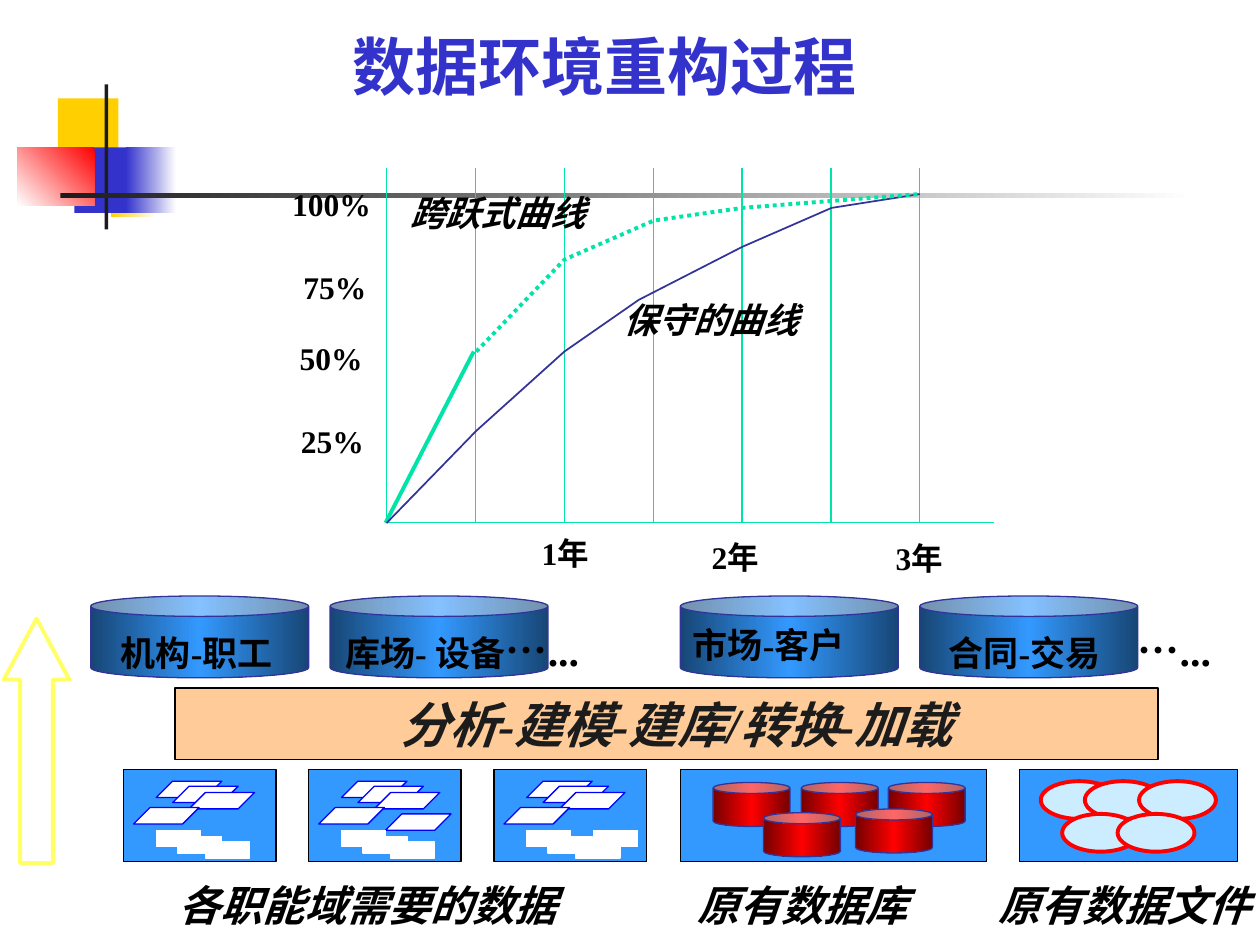
from copy import deepcopy
from lxml import etree
from pptx import Presentation
from pptx.dml.color import RGBColor
from pptx.enum.dml import MSO_LINE
from pptx.enum.shapes import MSO_CONNECTOR, MSO_SHAPE
from pptx.enum.text import MSO_ANCHOR, PP_ALIGN
from pptx.oxml.ns import qn
from pptx.util import Inches, Pt

RECT, CAN, OVAL = MSO_SHAPE.RECTANGLE, MSO_SHAPE.CAN, MSO_SHAPE.OVAL
PARALLELOGRAM, UP_ARROW = MSO_SHAPE.PARALLELOGRAM, MSO_SHAPE.UP_ARROW
STRAIGHT, DOTTED = MSO_CONNECTOR.STRAIGHT, MSO_LINE.ROUND_DOT
TOP, MIDDLE = MSO_ANCHOR.TOP, MSO_ANCHOR.MIDDLE
LEFT, JUSTIFY = PP_ALIGN.LEFT, PP_ALIGN.JUSTIFY


class Theme:
    latin, asian = "Times New Roman", "Noto Sans CJK SC"
    black, white, ink = "000000", "FFFFFF", "1C1C1C"
    gold, indigo, red = "FFCF01", "3333CC", "FF0000"
    navy, blue, panel, peach = "333399", "0000FF", "3399FF", "FFCC99"
    mint, pale, yellow = "00E4A8", "CCECFF", "FFFF66"
    blue_can = ["174675", "3399FF", "174675"]
    red_can = ["750000", "FF0000", "750000"]
    title, banner, caption, name, axis = 36, 28, 24, 20, 18


def add_box(kind, x, y, w, h, fill=None, line=None, width=0.75, angle=0):
    sp = s.shapes.add_shape(kind, Inches(x), Inches(y), Inches(w), Inches(h))
    sp.shadow.inherit = False
    if isinstance(fill, list):
        sp.fill.gradient()
        sp.fill.gradient_angle = angle
        stops = sp._element.spPr.find(".//" + qn("a:gsLst"))
        for _ in fill[2:]:
            stops.insert(1, deepcopy(stops[0]))
        for i, stop in enumerate(sp.fill.gradient_stops):
            stop.position = i / (len(fill) - 1)
            stop.color.rgb = RGBColor.from_string(fill[i])
    elif fill:
        sp.fill.solid()
        sp.fill.fore_color.rgb = RGBColor.from_string(fill)
    else:
        sp.fill.background()
    if line:
        sp.line.color.rgb = RGBColor.from_string(line)
        sp.line.width = Pt(width)
    else:
        sp.line.fill.background()
    return sp


def write(sp, runs, color=Theme.black, italic=False, indent=0, align=LEFT,
          anchor=TOP, latin=Theme.latin, tab=None):
    tf = sp.text_frame
    tf.word_wrap = True
    tf.vertical_anchor = anchor
    p = tf.paragraphs[0]
    p.alignment = align
    pPr = p._p.get_or_add_pPr()
    pPr.set("marL", str(Inches(indent)))
    pPr.set("indent", "0")
    if tab:
        tabs = etree.SubElement(pPr, qn("a:tabLst"))
        etree.SubElement(tabs, qn("a:tab"), pos=str(Inches(tab)), algn="l")
    for text, size in runs:
        r = p.add_run()
        r.text = text
        r.font.name = latin
        r.font.size = Pt(size)
        r.font.bold = True
        r.font.italic = italic
        r.font.color.rgb = RGBColor.from_string(color)
        ea = etree.Element(qn("a:ea"), typeface=Theme.asian)
        r._r.rPr.find(qn("a:latin")).addnext(ea)


prs = Presentation()
prs.slide_width, prs.slide_height = Inches(10), Inches(7.5)
s = prs.slides.add_slide(prs.slide_layouts[6])

for x, y, w, h, fill, angle in [
    (0.46, 0.78, 0.48, 0.52, Theme.gold, 0),
    (0.88, 1.2, 0.36, 0.52, [Theme.gold, Theme.white], 0),
    (0.59, 1.17, 0.46, 0.52, Theme.indigo, 0),
    (1, 1.17, 0.4, 0.52, [Theme.indigo, Theme.white], 0),
    (0.14, 1.17, 0.61, 0.46, [Theme.red, Theme.white], 225),
    (0.83, 0.67, 0.03, 1.15, Theme.ink, 0),
    (0.48, 1.53, 9, 0.04, [Theme.ink, Theme.white], 0),
]:
    add_box(RECT, x, y, w, h, fill, angle=angle)

banner = add_box(RECT, 1.39, 5.46, 7.8, 0.57, Theme.peach, Theme.black)
write(banner, [("分析-建模-建库/转换-加载", Theme.banner)], Theme.ink, True, 1.69)

for x in (0.72, 2.62, 5.4, 7.3):
    add_box(CAN, x, 4.73, 1.73, 0.65, Theme.blue_can, Theme.navy)
for x, y, w, h, indent, tab, runs in [
    (0.74, 4.96, 1.99, 0.44, 0.12, None, [("机构-职工", Theme.name)]),
    (2.64, 4.91, 2.67, 0.5, 0, None,
     [("库场- 设备", Theme.name), ("…...", Theme.caption)]),
    (5.4, 4.9, 1.99, 0.44, 0, None, [("市场-客户", Theme.name)]),
    (7.43, 4.91, 2.64, 0.5, 0, 1.73,
     [("合同-交易\t", Theme.name), ("…...", Theme.caption)]),
]:
    sp = s.shapes.add_textbox(Inches(x), Inches(y), Inches(w), Inches(h))
    write(sp, runs, indent=indent, tab=tab)

for i in range(3):
    left = 0.98 + 1.47 * i
    add_box(RECT, left, 6.11, 1.21, 0.73, Theme.panel, Theme.black)
    sheets = [(0.26, 6.2), (0.39, 6.24), (0.52, 6.29), (0.08, 6.41)]
    blocks = [(0.26, 6.59), (0.43, 6.64), (0.65, 6.68)]
    if i == 1:
        sheets.append((0.61, 6.46))
    if i == 2:
        blocks.append((0.79, 6.59))
    for dx, y in sheets:
        sp = add_box(PARALLELOGRAM, left + dx, y, 0.52, 0.13, Theme.white, Theme.blue)
        sp.adjustments[0] = 1
    for dx, y in blocks:
        add_box(RECT, left + dx, y, 0.35, 0.13, Theme.white, Theme.white)

add_box(RECT, 5.4, 6.11, 2.43, 0.73, Theme.panel, Theme.black)
for x, y in [(5.66, 6.21), (6.36, 6.21), (7.05, 6.21), (6.06, 6.45), (6.79, 6.42)]:
    add_box(CAN, x, y, 0.61, 0.35, Theme.red_can, Theme.navy)

add_box(RECT, 8.09, 6.11, 1.73, 0.73, Theme.panel, Theme.black)
for x, y in [(8.26, 6.2), (8.61, 6.2), (9.04, 6.2), (8.43, 6.46), (8.87, 6.46)]:
    add_box(OVAL, x, y, 0.61, 0.3, Theme.pale, Theme.red, 2.25)

for x, w, text in [(1.32, 3.56, "各职能域需要的数据"), (5.44, 2.34, "原有数据库"),
                   (7.83, 2.34, "原有数据文件")]:
    sp = s.shapes.add_textbox(Inches(x), Inches(6.93), Inches(w), Inches(0.5))
    write(sp, [(text, Theme.caption)], italic=True)

arrow = add_box(UP_ARROW, 0.03, 4.91, 0.52, 1.94, None, Theme.yellow, 2.25)
arrow.adjustments[0], arrow.adjustments[1] = 0.5, 0.93

axis_x, axis_y, axis_top, step = 3.07, 4.15, 1.33, 0.705
grid = [axis_x + step * i for i in range(1, 7)]
segments = [(x, x, axis_top, 0.75) for x in grid] + [(3.06, 3.76, 2.79, 2.25)]
for x1, x2, y2, width in segments:
    line = s.shapes.add_connector(STRAIGHT, Inches(x1), Inches(axis_y), Inches(x2), Inches(y2))
    line.line.color.rgb = RGBColor.from_string(Theme.mint)
    line.line.width = Pt(width)
    etree.SubElement(line._element.spPr, qn("a:effectLst"))

axes = [(axis_x, axis_top), (axis_x, axis_y), (7.89, axis_y)]
steady = [(axis_x, axis_y), (3.78, 3.42), (4.48, 2.79), (5.07, 2.38),
          (5.89, 1.96), (6.6, 1.65), (7.3, 1.54)]
leap = [(3.78, 2.79), (4.48, 2.06), (5.19, 1.75), (5.89, 1.65), (7.3, 1.54)]
for points, color, width, dash in [(axes, Theme.mint, 0.75, None),
                                   (steady, Theme.navy, 1, None),
                                   (leap, Theme.mint, 2.25, DOTTED)]:
    path = [(Inches(x), Inches(y)) for x, y in points]
    builder = s.shapes.build_freeform(*path[0])
    builder.add_line_segments(path[1:], close=False)
    sp = builder.convert_to_shape()
    sp.shadow.inherit = False
    sp.fill.background()
    sp.line.color.rgb = RGBColor.from_string(color)
    sp.line.width = Pt(width)
    sp.line.dash_style = dash

for x, y, w, text, size, italic in [
    (2.22, 1.42, 1.09, "100%", Theme.axis, False),
    (2.31, 2.08, 0.82, "75%", Theme.axis, False),
    (2.28, 2.64, 0.82, "50%", Theme.axis, False),
    (2.29, 3.3, 0.82, "25%", Theme.axis, False),
    (4.2, 4.19, 0.7, "1年", Theme.axis, False),
    (5.55, 4.22, 0.7, "2年", Theme.axis, False),
    (7.01, 4.23, 0.7, "3年", Theme.axis, False),
    (4.85, 2.32, 1.76, "保守的曲线", Theme.name, True),
    (3.16, 1.47, 1.76, "跨跃式曲线", Theme.name, True),
]:
    sp = s.shapes.add_textbox(Inches(x), Inches(y), Inches(w), Inches(0.42))
    write(sp, [(text, size)], italic=italic, align=JUSTIFY)

title = s.shapes.add_textbox(Inches(2.58), Inches(0.17), Inches(6.81), Inches(0.7))
write(title, [("数据环境重构过程", Theme.title)], Theme.indigo, indent=0.12,
      anchor=MIDDLE, latin=Theme.asian)

prs.save("out.pptx")
